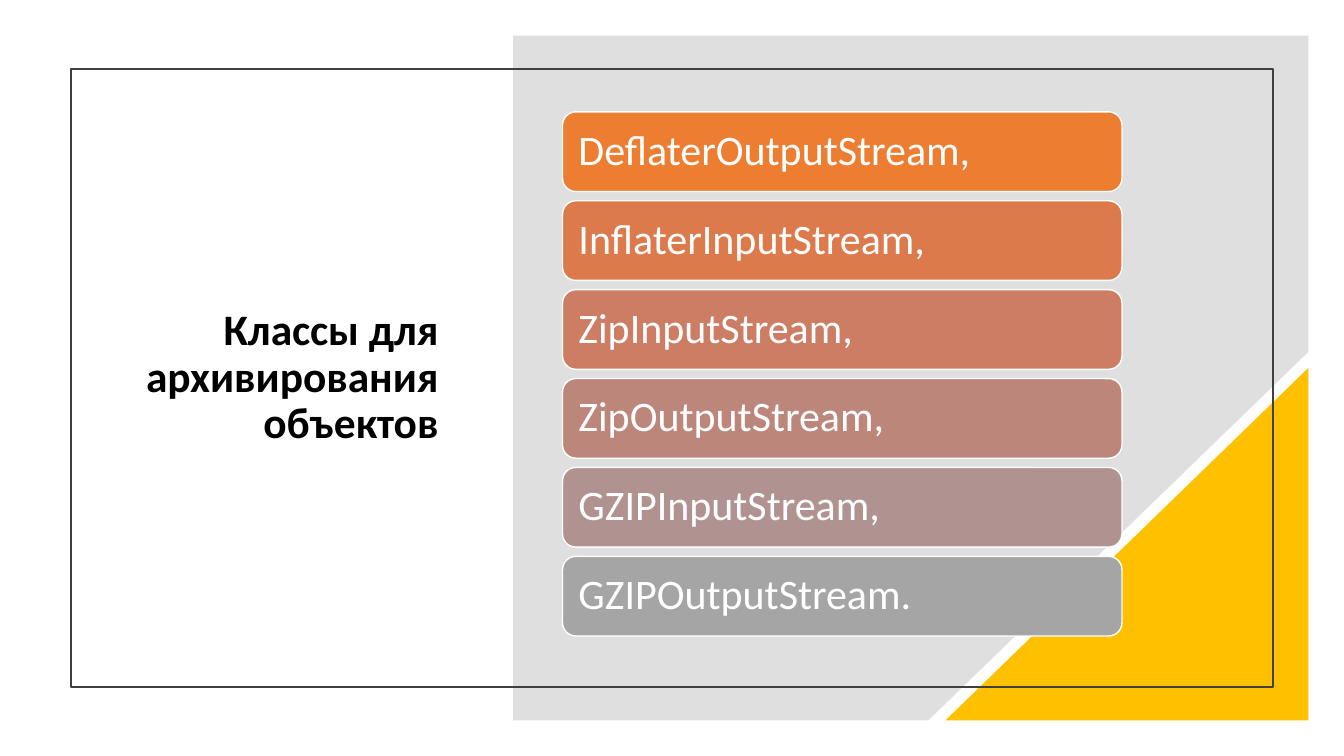
import pptx
import pptx.util
import pptx.dml.color
import pptx.enum.shapes
import pptx.enum.text
import pptx.oxml.ns
import lxml.etree

Pt = pptx.util.Pt
SHAPES = pptx.enum.shapes.MSO_SHAPE
ALIGN = pptx.enum.text.PP_ALIGN

COLORS = {
    "text": "000000", "white": "FFFFFF", "panel": "808080",
    "corner": "FFC000", "frame": "404040",
}
STREAM_BARS = [
    ("DeflaterOutputStream,", "ED7D31"),
    ("InflaterInputStream,", "DC7A4B"),
    ("ZipInputStream,", "CC7D64"),
    ("ZipOutputStream,", "BD867B"),
    ("GZIPInputStream,", "B09391"),
    ("GZIPOutputStream.", "A5A5A5"),
]
BAR_LEFT, BAR_TOP, BAR_WIDTH, BAR_HEIGHT, BAR_PITCH = 401.8, 79.9, 399.6, 56.9, 63.5


class SlideBuilder:
    font_name = "Calibri"

    def __init__(self, slide):
        self.slide = slide

    def color(self, value):
        return pptx.dml.color.RGBColor.from_string(value)

    def paint(self, shape, fill=None, line=None, line_width=1):
        shape.shadow.inherit = False
        if fill:
            shape.fill.solid()
            shape.fill.fore_color.rgb = self.color(fill)
        else:
            shape.fill.background()
        if line:
            shape.line.color.rgb = self.color(line)
            shape.line.width = Pt(line_width)
        else:
            shape.line.fill.background()

    def set_text(self, shape, text, size, color, align, bold=False, margin=7.2):
        frame = shape.text_frame
        frame.text = text
        frame.word_wrap = True
        frame.auto_size = pptx.enum.text.MSO_AUTO_SIZE.NONE
        frame.vertical_anchor = pptx.enum.text.MSO_ANCHOR.MIDDLE
        frame.margin_left = frame.margin_right = Pt(margin)
        frame.margin_top = frame.margin_bottom = Pt(margin)
        paragraph = frame.paragraphs[0]
        paragraph.alignment = align
        paragraph.line_spacing = 0.9
        paragraph.space_before = Pt(0)
        font = paragraph.runs[0].font
        font.name = self.font_name
        font.size = Pt(size)
        font.bold = bold
        font.color.rgb = self.color(color)

    def title(self, text, left, top, width, height):
        shape = self.slide.shapes.title
        shape.left, shape.top = Pt(left), Pt(top)
        shape.width, shape.height = Pt(width), Pt(height)
        self.set_text(shape, text, 31, COLORS["text"], ALIGN.RIGHT, bold=True)

    def shape(self, kind, left, top, width, height, **style):
        shape = self.slide.shapes.add_shape(
            kind, Pt(left), Pt(top), Pt(width), Pt(height))
        self.paint(shape, **style)
        return shape

    def polygon(self, points, fill, opacity):
        """Draw a closed outline; opacity is a percentage."""
        start, *others = [(Pt(x), Pt(y)) for x, y in points]
        builder = self.slide.shapes.build_freeform(*start)
        builder.add_line_segments(others, close=True)
        shape = builder.convert_to_shape()
        self.paint(shape, fill)
        qn = pptx.oxml.ns.qn
        color = shape._element.spPr.find(qn("a:solidFill")).find(qn("a:srgbClr"))
        lxml.etree.SubElement(color, qn("a:alpha")).set("val", str(opacity * 1000))

    def bar(self, text, fill, top):
        shape = self.shape(SHAPES.ROUNDED_RECTANGLE, BAR_LEFT, top, BAR_WIDTH,
                           BAR_HEIGHT, fill=fill, line=COLORS["white"])
        self.set_text(shape, text, 30, COLORS["white"], ALIGN.LEFT, margin=8.64)


def main():
    presentation = pptx.Presentation()
    presentation.slide_width, presentation.slide_height = Pt(960), Pt(540)
    builder = SlideBuilder(
        presentation.slides.add_slide(presentation.slide_layouts[5]))

    builder.title("Классы для архивирования объектов", 79.2, 93.6, 241.2, 352.8)
    builder.polygon(
        [(366.5, 25.5), (934.6, 25.5), (934.6, 251.3), (663.1, 514.5), (366.5, 514.5)],
        COLORS["panel"], 25)
    corner = builder.shape(SHAPES.RIGHT_TRIANGLE, 675.4, 262.8, 259.2, 251.7,
                           fill=COLORS["corner"])
    corner._element.spPr.get_or_add_xfrm().set("flipH", "1")
    builder.shape(SHAPES.RECTANGLE, 50.6, 49.2, 859, 441.4,
                  line=COLORS["frame"], line_width=1.5)
    for index, (name, fill) in enumerate(STREAM_BARS):
        builder.bar(name, fill, BAR_TOP + index * BAR_PITCH)
    presentation.save("out.pptx")


if __name__ == "__main__":
    main()
